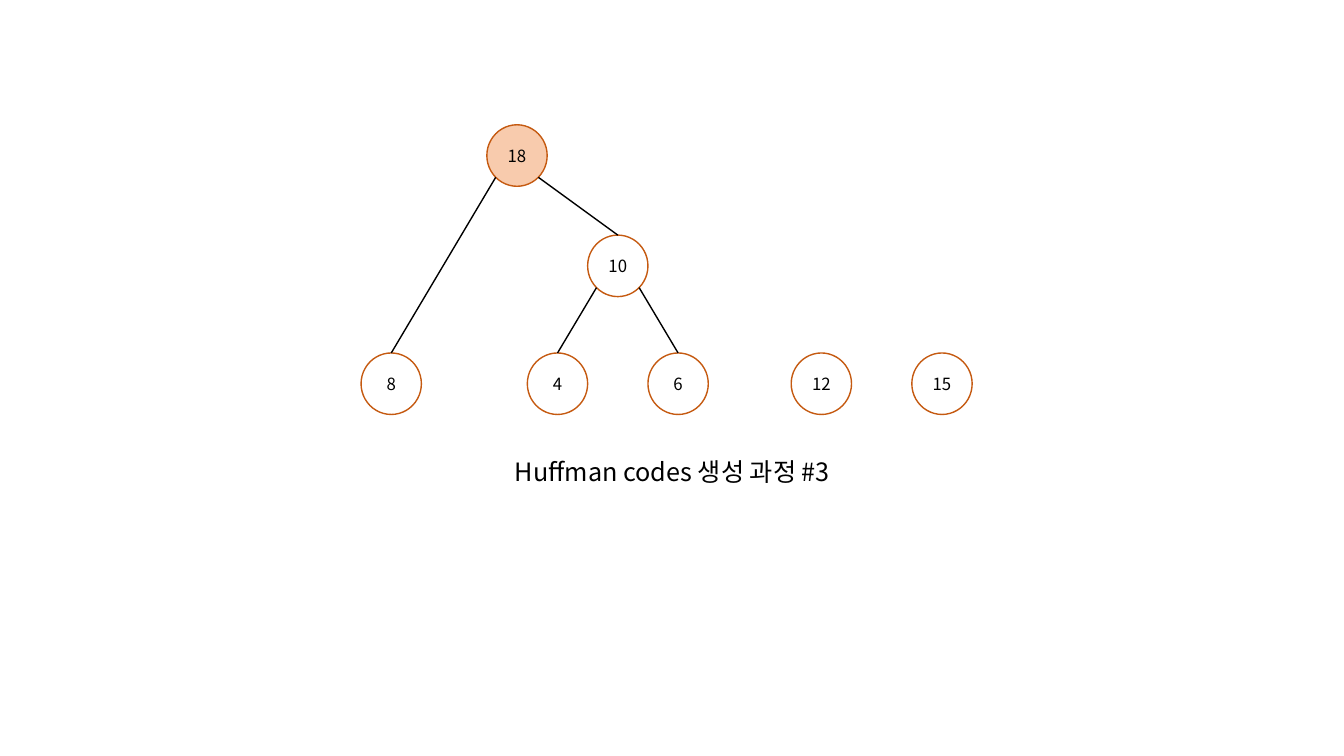
from dataclasses import dataclass
from math import cos, pi

from lxml import etree
from pptx import Presentation
from pptx.dml.color import RGBColor
from pptx.enum.shapes import MSO_CONNECTOR, MSO_SHAPE
from pptx.enum.text import MSO_ANCHOR, MSO_AUTO_SIZE, PP_ALIGN
from pptx.oxml.ns import qn
from pptx.util import Cm, Pt

ELLIPSE = MSO_SHAPE.OVAL
STRAIGHT = MSO_CONNECTOR.STRAIGHT
MIDDLE = MSO_ANCHOR.MIDDLE
CENTER = PP_ALIGN.CENTER
GROW = MSO_AUTO_SIZE.SHAPE_TO_FIT_TEXT
TOP_SITE = 0


@dataclass(frozen=True)
class Theme:
    font: str = "Noto Sans CJK KR"
    ink: RGBColor = RGBColor(0x00, 0x00, 0x00)
    node_fill: RGBColor = RGBColor(0xFF, 0xFF, 0xFF)
    new_fill: RGBColor = RGBColor(0xF8, 0xCB, 0xAD)
    node_line: RGBColor = RGBColor(0xC5, 0x5A, 0x11)
    node_size: Pt = Pt(12)
    caption_size: Pt = Pt(18)
    line_width: Pt = Pt(1)


THEME = Theme()


def add_centered_text(tf, text, size):
    p = tf.paragraphs[0]
    p.alignment = CENTER
    r = p.add_run()
    r.text = text
    r.font.name = THEME.font
    r.font.size = size
    r.font.color.rgb = THEME.ink
    ea = etree.SubElement(r.font._element, qn("a:ea"))
    ea.set("typeface", THEME.font)


prs = Presentation()
prs.slide_width, prs.slide_height = Cm(33.87), Cm(19.05)
slide = prs.slides.add_slide(prs.slide_layouts[6])

# Node centres in cm, keyed by weight
NODE_W, NODE_H = 1.52, 1.55
LEAF_Y = 9.67
centers = {
    10: (15.57, 6.7),
    4: (14.05, LEAF_Y),
    6: (17.09, LEAF_Y),
    8: (9.86, LEAF_Y),
    12: (20.7, LEAF_Y),
    15: (23.74, LEAF_Y),
    18: (13.03, 3.92),
}
NEW_NODE = 18

nodes = {}
for weight, (x, y) in centers.items():
    sp = slide.shapes.add_shape(
        ELLIPSE, Cm(x - NODE_W / 2), Cm(y - NODE_H / 2), Cm(NODE_W), Cm(NODE_H))
    sp.shadow.inherit = False
    sp.fill.solid()
    sp.fill.fore_color.rgb = THEME.new_fill if weight == NEW_NODE else THEME.node_fill
    sp.line.color.rgb = THEME.node_line
    sp.line.width = THEME.line_width
    tf = sp.text_frame
    tf.vertical_anchor = MIDDLE
    tf.margin_left = tf.margin_right = tf.margin_top = tf.margin_bottom = 0
    add_centered_text(tf, str(weight), THEME.node_size)
    nodes[weight] = sp

# Each edge leaves its parent at 45 degrees and meets the top of the child
children = {10: (4, 6), 18: (8, 10)}
dx, dy = NODE_W / 2 * cos(pi / 4), NODE_H / 2 * cos(pi / 4)
for parent, pair in children.items():
    x, y = centers[parent]
    for side, child in zip((-1, 1), pair):
        child_x, child_y = centers[child]
        edge = slide.shapes.add_connector(
            STRAIGHT, Cm(x + side * dx), Cm(y + dy),
            Cm(child_x), Cm(child_y - NODE_H / 2))
        edge.end_connect(nodes[child], TOP_SITE)
        edge.line.color.rgb = THEME.ink
        edge.line.width = THEME.line_width
        etree.SubElement(edge._element.spPr, qn("a:effectLst"))

caption = slide.shapes.add_textbox(Cm(9.4), Cm(11.38), Cm(15.09), Cm(1.03))
tf = caption.text_frame
tf.word_wrap = True
tf.auto_size = GROW
add_centered_text(tf, "Huffman codes 생성 과정 #3", THEME.caption_size)

prs.save("out.pptx")
